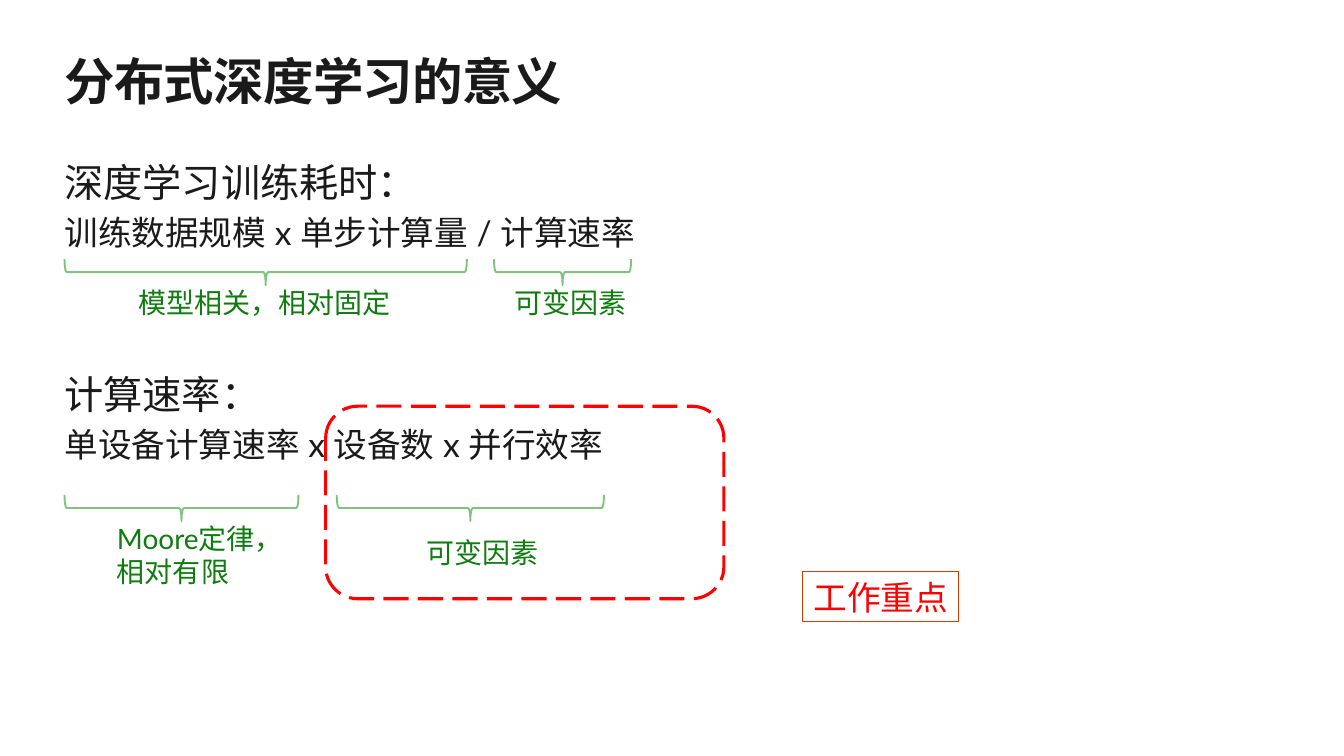
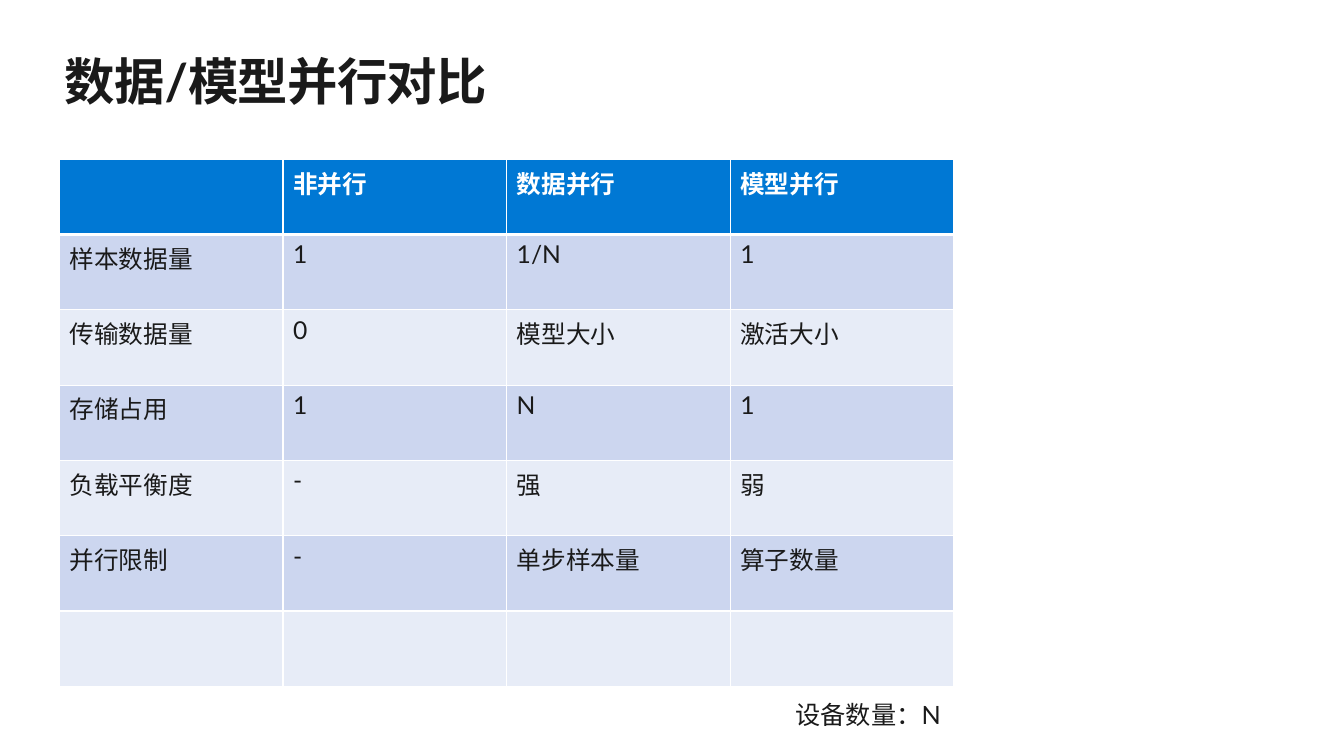
from lxml import etree
from pptx import Presentation
from pptx.dml.color import RGBColor
from pptx.enum.dml import MSO_LINE
from pptx.enum.shapes import MSO_SHAPE
from pptx.enum.text import MSO_ANCHOR, PP_ALIGN
from pptx.oxml.ns import qn
from pptx.util import Inches, Pt

LEFT_BRACE = MSO_SHAPE.LEFT_BRACE
RECTANGLE = MSO_SHAPE.RECTANGLE
ROUNDED = MSO_SHAPE.ROUNDED_RECTANGLE
LONG_DASH = MSO_LINE.LONG_DASH
MIDDLE = MSO_ANCHOR.MIDDLE
LEFT, CENTER = PP_ALIGN.LEFT, PP_ALIGN.CENTER

FONT = "Lato"
INK, WHITE, RED = "1A1A1A", "FFFFFF", "FF0000"
NOTE_GREEN, BRACE_GREEN = "107C10", "008900"
FRAME_ORANGE = "D73B01"
HEADER_BLUE, BANDS = "0078D4", ("CCD6EF", "E7ECF7")
MARGIN = 0.64


def color(value):
    return RGBColor.from_string(value)


def write(paragraph, text, size=20, ink=INK, bold=False, align=LEFT,
          before=0, tracking=0, east_asian=True):
    """Fill one paragraph with a single formatted run."""
    paragraph.alignment = align
    if before:
        paragraph.space_before = Pt(before)
    run = paragraph.add_run()
    run.text = text
    run.font.size = Pt(size)
    run.font.bold = bold
    run.font.name = FONT
    run.font.color.rgb = color(ink)
    properties = run.font._element
    if tracking:
        properties.set("spc", str(int(tracking * 100)))
    if east_asian:
        etree.SubElement(properties, qn("a:ea"), typeface=FONT)


def cell_borders(cell, top=1, bottom=1):
    """Draw white borders, widths in points, ahead of the cell's fill."""
    properties = cell._tc.get_or_add_tcPr()
    sides = (("L", 1), ("R", 1), ("T", top), ("B", bottom))
    for position, (side, width) in enumerate(sides):
        line = etree.Element(qn("a:ln" + side), w=str(Pt(width)))
        fill = etree.SubElement(line, qn("a:solidFill"))
        etree.SubElement(fill, qn("a:srgbClr"), val=WHITE)
        properties.insert(position, line)


class Deck:
    def __init__(self):
        self.prs = Presentation()
        self.prs.slide_width = Inches(13.33)
        self.prs.slide_height = Inches(7.5)
        self.slide = None

    def new_slide(self, title):
        self.slide = self.prs.slides.add_slide(self.prs.slide_layouts[6])
        background = self.slide.background.fill
        background.solid()
        background.fore_color.rgb = color(WHITE)
        self.text(MARGIN, 0.5, 12.05, 0.61, [(title, {"size": 36, "bold": True, "tracking": -0.5})])

    def text(self, left, top, width, height, lines, wrap=True):
        """Add a box without insets; lines are (text, format) pairs."""
        box = self.slide.shapes.add_textbox(Inches(left), Inches(top), Inches(width), Inches(height))
        frame = box.text_frame
        frame.word_wrap = wrap
        frame.margin_left = frame.margin_right = frame.margin_top = frame.margin_bottom = 0
        for index, (line, style) in enumerate(lines):
            paragraph = frame.add_paragraph() if index else frame.paragraphs[0]
            write(paragraph, line, **style)

    def note(self, left, top, width, *lines):
        self.text(left, top, width, 0.34 * len(lines),
                  [(line, {"ink": NOTE_GREEN}) for line in lines], wrap=False)

    def shape(self, preset, left, top, width, height, line, weight, fill=None):
        shape = self.slide.shapes.add_shape(
            preset, Inches(left), Inches(top), Inches(width), Inches(height))
        shape.shadow.inherit = False
        if fill:
            shape.fill.solid()
            shape.fill.fore_color.rgb = color(fill)
        else:
            shape.fill.background()
        shape.line.color.rgb = color(line)
        shape.line.width = Pt(weight)
        return shape

    def brace(self, left, top, span, depth=0.26):
        """Add a half-transparent brace that opens upwards over a span."""
        shift = (span - depth) / 2
        brace = self.shape(LEFT_BRACE, left + shift, top - shift, depth, span, BRACE_GREEN, 1.35)
        brace.rotation = 270
        stroke = brace.line._ln.find(".//" + qn("a:srgbClr"))
        etree.SubElement(stroke, qn("a:alpha"), val="50000")

    def table(self, left, top, width, height, rows):
        table = self.slide.shapes.add_table(
            len(rows), len(rows[0]), Inches(left), Inches(top), Inches(width), Inches(height)).table
        for r, row in enumerate(rows):
            header = r == 0
            for c, value in enumerate(row):
                cell = table.cell(r, c)
                cell.fill.solid()
                cell.fill.fore_color.rgb = color(HEADER_BLUE if header else BANDS[(r - 1) % 2])
                cell_borders(cell, top=3 if r == 1 else 1, bottom=3 if header else 1)
                if value:
                    write(cell.text_frame.paragraphs[0], value, size=17.6, bold=header,
                          ink=WHITE if header else INK, east_asian=False)


def training_time_slide(deck):
    deck.new_slide("分布式深度学习的意义")

    # Headings with their formulas
    formulas = (("深度学习训练耗时：", "训练数据规模 x 单步计算量 / 计算速率"),
                ("计算速率：", "单设备计算速率 x 设备数 x 并行效率"))
    for index, (heading, formula) in enumerate(formulas):
        deck.text(MARGIN, 1.57 + 2.1 * index, 6.5, 0.95,
                  [(heading, {"size": 28}), (formula, {"size": 24, "before": 4.8})])

    # Braces under the factors
    for left, top, span in ((MARGIN, 2.57, 3.99), (4.9, 2.57, 1.36),
                            (MARGIN, 4.91, 2.32), (3.34, 4.91, 2.65)):
        deck.brace(left, top, span)

    # Notes on the factors
    deck.note(1.37, 2.83, 2.52, "模型相关，相对固定")
    deck.note(5.1, 2.83, 1.12, "可变因素")
    deck.note(1.16, 5.17, 1.67, "Moore定律，", "相对有限")
    deck.note(4.23, 5.31, 1.14, "可变因素")

    # Focus of the work
    focus = deck.shape(ROUNDED, 3.23, 4.03, 3.95, 1.91, RED, 2.25)
    focus.line.dash_style = LONG_DASH
    focus_label = deck.shape(RECTANGLE, 7.96, 5.67, 1.55, 0.5, FRAME_ORANGE, 0.85, fill=WHITE)
    frame = focus_label.text_frame
    frame.word_wrap = False
    frame.vertical_anchor = MIDDLE
    write(frame.paragraphs[0], "工作重点", size=24, ink=RED, align=CENTER)


def comparison_slide(deck):
    deck.new_slide("数据/模型并行对比")
    deck.table(0.59, 1.58, 8.87, 5.23, [
        ("", "非并行", "数据并行", "模型并行"),
        ("样本数据量", "1", "1/N", "1"),
        ("传输数据量", "0", "模型大小", "激活大小"),
        ("存储占用", "1", "N", "1"),
        ("负载平衡度", "-", "强", "弱"),
        ("并行限制", "-", "单步样本量", "算子数量"),
        ("", "", "", ""),
    ])
    deck.text(7.89, 6.94, 1.88, 0.3, [("设备数量：N", {"size": 18})])


def main():
    deck = Deck()
    training_time_slide(deck)
    comparison_slide(deck)
    deck.prs.save("out.pptx")


if __name__ == "__main__":
    main()
